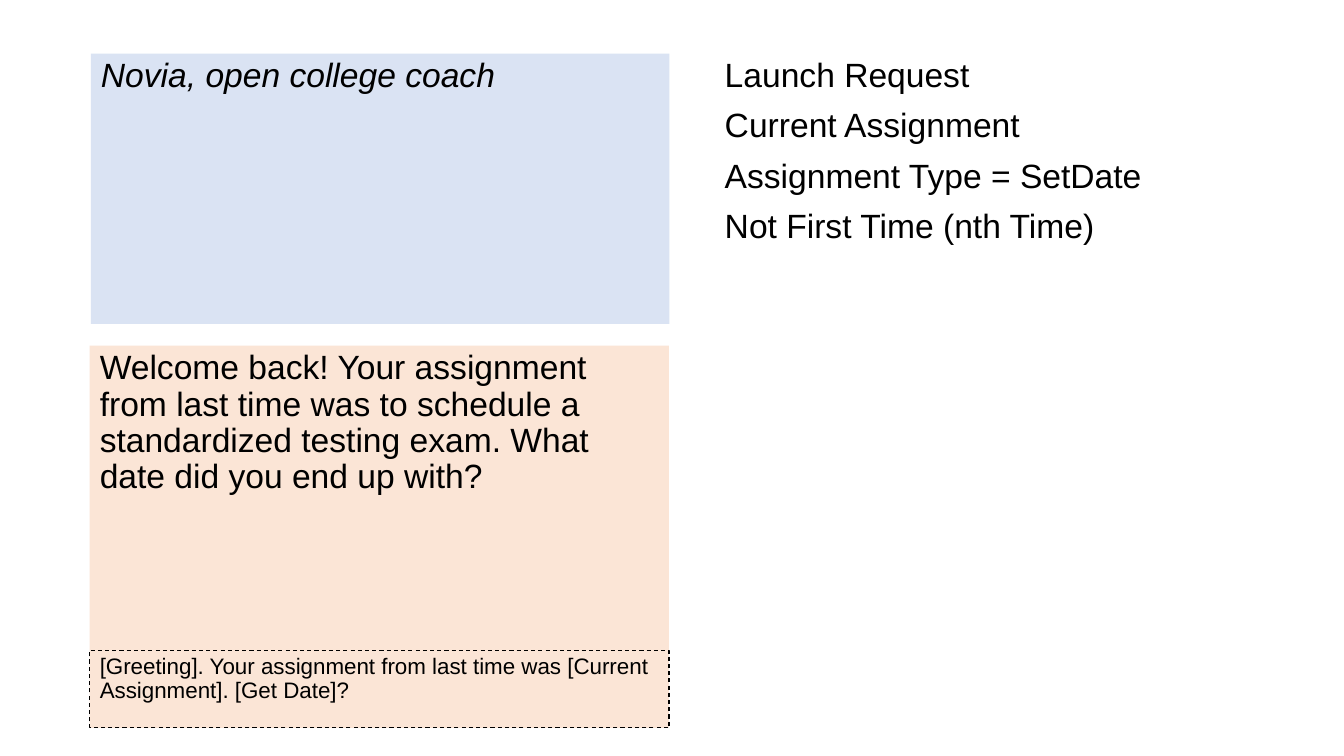
from dataclasses import dataclass

from pptx import Presentation
from pptx.dml.color import RGBColor
from pptx.enum.dml import MSO_LINE_DASH_STYLE as DashStyle
from pptx.enum.text import MSO_ANCHOR as Anchor, MSO_AUTO_SIZE as AutoSize, PP_ALIGN as Align
from pptx.oxml.xmlchemy import OxmlElement
from pptx.util import Cm, Pt


@dataclass(frozen=True)
class Theme:
    """Colours, font and type sizes of the slide."""
    font: str = "Arial"
    text: RGBColor = RGBColor(0x00, 0x00, 0x00)
    user: RGBColor = RGBColor(0xDA, 0xE3, 0xF3)
    reply: RGBColor = RGBColor(0xFB, 0xE5, 0xD6)
    body_size: Pt = Pt(24)
    pattern_size: Pt = Pt(16)


THEME = Theme()
COMPARISON_LAYOUT = 4


def remove_bullet(paragraph):
    """Turn off the bullet and hanging indent of a body paragraph."""
    properties = paragraph._p.get_or_add_pPr()
    properties.set("marL", "0")
    properties.set("indent", "0")
    properties.append(OxmlElement("a:buNone"))


def fill_body(shape, box, lines, size=THEME.body_size, italic=False, fill=None):
    """Place a body placeholder in its box and write its lines."""
    shape.left, shape.top, shape.width, shape.height = (Cm(length) for length in box)
    if fill is not None:
        shape.fill.solid()
        shape.fill.fore_color.rgb = fill
    frame = shape.text_frame
    frame.word_wrap = True
    frame.auto_size = AutoSize.NONE
    frame.vertical_anchor = Anchor.TOP
    for index, line in enumerate(lines):
        paragraph = frame.add_paragraph() if index else frame.paragraphs[0]
        paragraph.alignment = Align.LEFT
        paragraph.line_spacing = 0.9
        paragraph.space_before = Pt(10)
        remove_bullet(paragraph)
        run = paragraph.add_run()
        run.text = line
        font = run.font
        font.name, font.size = THEME.font, size
        font.bold, font.italic = False, italic
        font.color.rgb = THEME.text


def add_user_prompt(shape, box):
    """Show what the user says."""
    fill_body(shape, box, ["Novia, open college coach"], italic=True, fill=THEME.user)


def add_reply(shape, box):
    """Show what the assistant answers."""
    fill_body(shape, box, [
        "Welcome back! Your assignment from last time was to schedule a "
        "standardized testing exam. What date did you end up with?",
    ], fill=THEME.reply)


def add_conditions(shape, box):
    """List the conditions that lead to this answer."""
    fill_body(shape, box, [
        "Launch Request",
        "Current Assignment",
        "Assignment Type = SetDate",
        "Not First Time (nth Time)",
    ])


def add_reply_pattern(shape, box):
    """Show the general pattern of the answer in a dashed box."""
    fill_body(shape, box, [
        "[Greeting]. Your assignment from last time was [Current Assignment]. [Get Date]?",
    ], size=THEME.pattern_size, fill=THEME.reply)
    shape.line.color.rgb = THEME.text
    shape.line.width = Pt(0.75)
    shape.line.dash_style = DashStyle.DASH


def add_dialogue_slide(presentation):
    """Build the dialogue slide from the four bodies of the comparison layout."""
    slide = presentation.slides.add_slide(presentation.slide_layouts[COMPARISON_LAYOUT])
    title, user, reply, conditions, pattern = slide.placeholders
    title.element.getparent().remove(title.element)
    top, upper_height = 1.35, 6.81
    left, width = 2.26, 14.6
    reply_top, reply_height = 8.71, 7.67
    add_user_prompt(user, (2.29, top, 14.58, upper_height))
    add_reply(reply, (left, reply_top, width, reply_height))
    add_conditions(conditions, (18.01, top, 13.49, upper_height))
    add_reply_pattern(pattern, (left, reply_top + reply_height, width, 1.96))


def main():
    """Create and save the presentation."""
    presentation = Presentation()
    presentation.slide_width, presentation.slide_height = Cm(33.87), Cm(19.05)
    add_dialogue_slide(presentation)
    presentation.save("out.pptx")


main()
